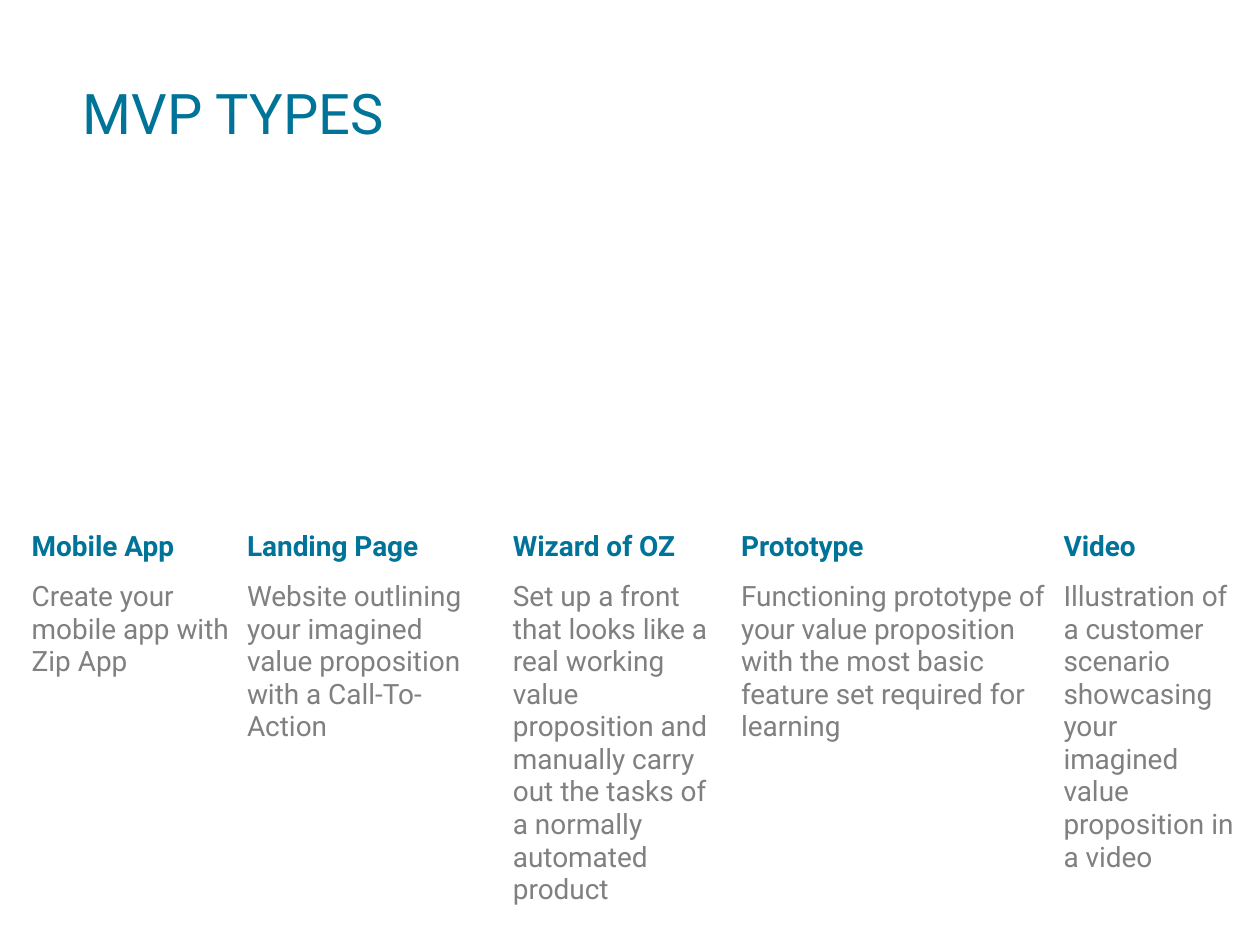
from pptx import Presentation
from pptx.dml.color import RGBColor
from pptx.enum.text import MSO_ANCHOR
from pptx.util import Cm, Pt

TEAL = RGBColor(0x00, 0x73, 0x98)
GREY = RGBColor(0x80, 0x80, 0x80)
WHITE = RGBColor(0xFF, 0xFF, 0xFF)

TITLE_FORMAT = {"name": "Roboto", "size": Pt(32), "bold": False}
HEADING_FORMAT = {"name": "Roboto", "size": Pt(16), "bold": True}
BODY_FORMAT = {"name": "Roboto", "size": Pt(16), "bold": False}
CELL_MARGINS = {"margin_left": Cm(0.18), "margin_right": Cm(0.18),
                "margin_top": 0, "margin_bottom": 0}

# Heading, description, column width in cm
MVP_TYPES = [
    ("Mobile App", "Create your mobile app with Zip App", 4.34),
    ("Landing Page", "Website outlining your imagined value proposition "
     "with a Call-To-Action", 5.36),
    ("Wizard of OZ", "Set up a front that looks like a real working value "
     "proposition and manually carry out the tasks of a normally automated "
     "product", 4.6),
    ("Prototype", "Functioning prototype of your value proposition with the "
     "most basic feature set required for learning", 6.5),
    ("Video", "Illustration of a customer scenario showcasing your imagined "
     "value proposition in a video", 3.84),
]
ROW_HEIGHTS = [1.02, 5.08]


def write(paragraph, text, font_format, color):
    run = paragraph.add_run()
    run.text = text
    for attribute, value in font_format.items():
        setattr(run.font, attribute, value)
    run.font.color.rgb = color


prs = Presentation()
prs.slide_width, prs.slide_height = Cm(25.4), Cm(19.05)
slide = prs.slides.add_slide(prs.slide_layouts[6])

table_width = sum(width for _, _, width in MVP_TYPES)
types_table = slide.shapes.add_table(
    len(ROW_HEIGHTS), len(MVP_TYPES), Cm(0.46), Cm(10.69),
    Cm(table_width), Cm(sum(ROW_HEIGHTS))).table
types_table.horz_banding = False
for row, height in zip(types_table.rows, ROW_HEIGHTS):
    row.height = Cm(height)

for col, (heading, description, width) in enumerate(MVP_TYPES):
    types_table.columns[col].width = Cm(width)
    entries = [(heading, HEADING_FORMAT, TEAL), (description, BODY_FORMAT, GREY)]
    for row, (text, font_format, color) in enumerate(entries):
        cell = types_table.cell(row, col)
        cell.fill.solid()
        cell.fill.fore_color.rgb = WHITE
        for attribute, value in CELL_MARGINS.items():
            setattr(cell, attribute, value)
        write(cell.text_frame.paragraphs[0], text, font_format, color)

title = slide.shapes.add_textbox(Cm(1.42), Cm(1.42), Cm(21.67), Cm(1.4)).text_frame
title.word_wrap = True
title.vertical_anchor = MSO_ANCHOR.MIDDLE
title.paragraphs[0].line_spacing = 1.2
write(title.paragraphs[0], "MVP TYPES", TITLE_FORMAT, TEAL)

prs.save("out.pptx")
